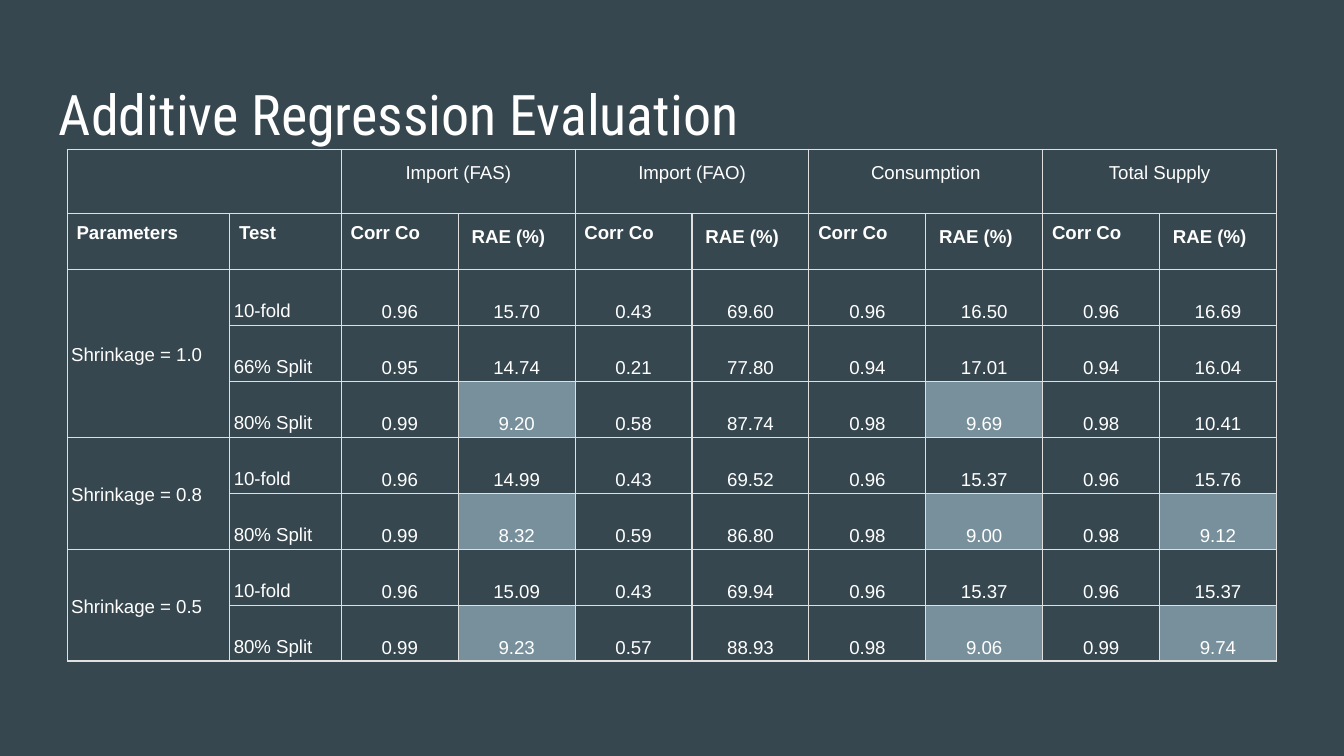
import lxml.etree
import pptx
import pptx.dml.color
import pptx.enum.text
import pptx.oxml.ns
import pptx.util

Inches = pptx.util.Inches
Pt = pptx.util.Pt
RGBColor = pptx.dml.color.RGBColor
ALIGN = pptx.enum.text.PP_ALIGN
ANCHOR = pptx.enum.text.MSO_ANCHOR

BACKGROUND = RGBColor(0x37, 0x47, 0x4F)
WHITE = RGBColor(0xFF, 0xFF, 0xFF)
HIGHLIGHT = RGBColor(0x78, 0x90, 0x9C)
BORDER = RGBColor(0xE0, 0xE0, 0xE0)

MEASURES = ["Import (FAS)", "Import (FAO)", "Consumption", "Total Supply"]
RESULTS = [
    ("Shrinkage = 1.0", [
        ("10-fold", "0.96 15.70 0.43 69.60 0.96 16.50 0.96 16.69"),
        ("66% Split", "0.95 14.74 0.21 77.80 0.94 17.01 0.94 16.04"),
        ("80% Split", "0.99 9.20 0.58 87.74 0.98 9.69 0.98 10.41"),
    ]),
    ("Shrinkage = 0.8", [
        ("10-fold", "0.96 14.99 0.43 69.52 0.96 15.37 0.96 15.76"),
        ("80% Split", "0.99 8.32 0.59 86.80 0.98 9.00 0.98 9.12"),
    ]),
    ("Shrinkage = 0.5", [
        ("10-fold", "0.96 15.09 0.43 69.94 0.96 15.37 0.96 15.37"),
        ("80% Split", "0.99 9.23 0.57 88.93 0.98 9.06 0.99 9.74"),
    ]),
]
RAE_LIMIT = 10


def add_run(paragraph, text, size, font_name, bold=False):
    """Add one white run to a paragraph."""
    run = paragraph.add_run()
    run.text = text
    run.font.size = Pt(size)
    run.font.name = font_name
    run.font.bold = bold
    run.font.color.rgb = WHITE


def set_borders(cell):
    """Draw a thin line on all four sides of a cell."""
    properties = cell._tc.get_or_add_tcPr()
    for position, side in enumerate(("lnL", "lnR", "lnT", "lnB")):
        line = lxml.etree.Element(pptx.oxml.ns.qn(f"a:{side}"), w=str(Pt(0.75)))
        fill = lxml.etree.SubElement(line, pptx.oxml.ns.qn("a:solidFill"))
        lxml.etree.SubElement(fill, pptx.oxml.ns.qn("a:srgbClr"), val=str(BORDER))
        properties.insert(position, line)


def write_cell(cell, text, margins, align=ALIGN.LEFT, anchor=ANCHOR.TOP,
               spacing=1.0, bold=False):
    """Write one cell with its side and vertical margins."""
    cell.margin_left = cell.margin_right = Inches(margins[0])
    cell.margin_top = cell.margin_bottom = Inches(margins[1])
    cell.vertical_anchor = anchor
    paragraph = cell.text_frame.paragraphs[0]
    paragraph.alignment = align
    paragraph.line_spacing = spacing
    add_run(paragraph, text, 10, "Arial", bold)


def add_title(slide, left, top, width, height):
    """Place the slide title."""
    shape = slide.shapes.add_textbox(
        Inches(left), Inches(top), Inches(width), Inches(height))
    frame = shape.text_frame
    frame.word_wrap = True
    frame.margin_left = frame.margin_right = Inches(0.1)
    frame.margin_top = frame.margin_bottom = Inches(0.1)
    add_run(frame.paragraphs[0], "Additive Regression Evaluation", 30, "Roboto Condensed")


def write_header(table):
    """Fill the two header rows."""
    table.cell(0, 0).merge(table.cell(0, 1))
    for column, label in enumerate(("Parameters", "Test")):
        write_cell(table.cell(1, column), label, (0.07, 0.07), bold=True)
    for index, measure in enumerate(MEASURES):
        column = 2 + 2 * index
        table.cell(0, column).merge(table.cell(0, column + 1))
        write_cell(table.cell(0, column), measure, (0.1, 0.1), ALIGN.CENTER)
        write_cell(table.cell(1, column), "Corr Co", (0.07, 0.07), bold=True)
        write_cell(table.cell(1, column + 1), "RAE (%)", (0.1, 0.1), bold=True)


def write_results(table):
    """Fill the result rows and highlight the low errors."""
    row = 2
    for parameter, tests in RESULTS:
        table.cell(row, 0).merge(table.cell(row + len(tests) - 1, 0))
        write_cell(table.cell(row, 0), parameter, (0.03, 0.03),
                   anchor=ANCHOR.MIDDLE, spacing=1.15)
        for test, values in tests:
            write_cell(table.cell(row, 1), test, (0.03, 0.03),
                       anchor=ANCHOR.BOTTOM, spacing=1.15)
            for column, value in enumerate(values.split(), start=2):
                cell = table.cell(row, column)
                write_cell(cell, value, (0.03, 0.02), ALIGN.CENTER, ANCHOR.BOTTOM, 1.15)
                if column % 2 and float(value) < RAE_LIMIT:
                    cell.fill.solid()
                    cell.fill.fore_color.rgb = HIGHLIGHT
            row += 1


def add_results_table(slide, left, top, width, height):
    """Place the evaluation table in its box."""
    row_count = 2 + sum(len(tests) for _, tests in RESULTS)
    column_count = 2 + 2 * len(MEASURES)
    table = slide.shapes.add_table(
        row_count, column_count,
        Inches(left), Inches(top), Inches(width), Inches(height)).table
    table.first_row = table.horz_banding = False

    label_widths = [1.21, 0.83]
    value_count = column_count - len(label_widths)
    value_width = (width - sum(label_widths)) / value_count
    for column, size in zip(table.columns, label_widths + [value_width] * value_count):
        column.width = Inches(size)
    top_height = 0.48
    row_height = (height - top_height) / (row_count - 1)
    for row, size in zip(table.rows, [top_height] + [row_height] * (row_count - 1)):
        row.height = Inches(size)

    for cell in table.iter_cells():
        cell.fill.background()
        set_borders(cell)
    write_header(table)
    write_results(table)


def main():
    """Build and save the presentation."""
    presentation = pptx.Presentation()
    presentation.slide_width = Inches(10)
    presentation.slide_height = presentation.slide_width * 9 // 16
    slide = presentation.slides.add_slide(presentation.slide_layouts[6])
    slide.background.fill.solid()
    slide.background.fill.fore_color.rgb = BACKGROUND
    add_title(slide, 0.34, 0.49, 9.32, 0.63)
    add_results_table(slide, 0.5, 1.11, 9, 3.81)
    presentation.save("out.pptx")


if __name__ == "__main__":
    main()
